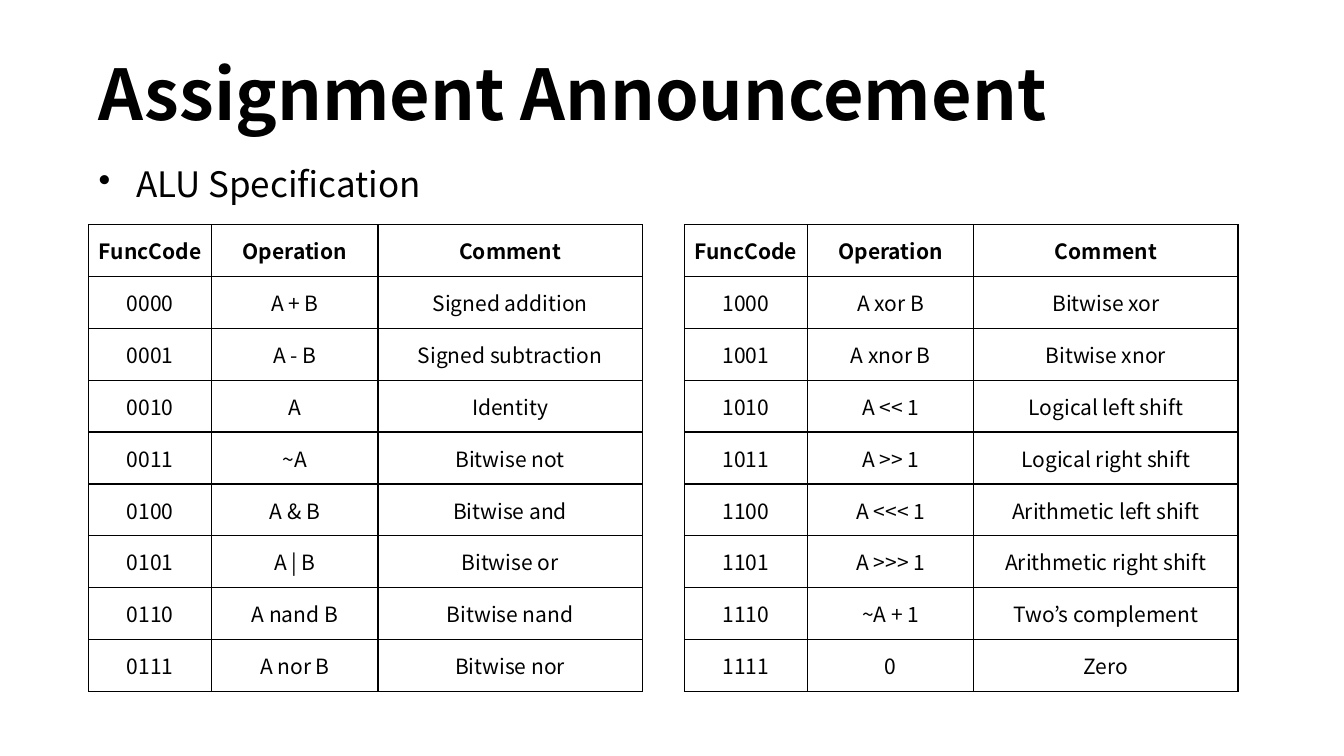
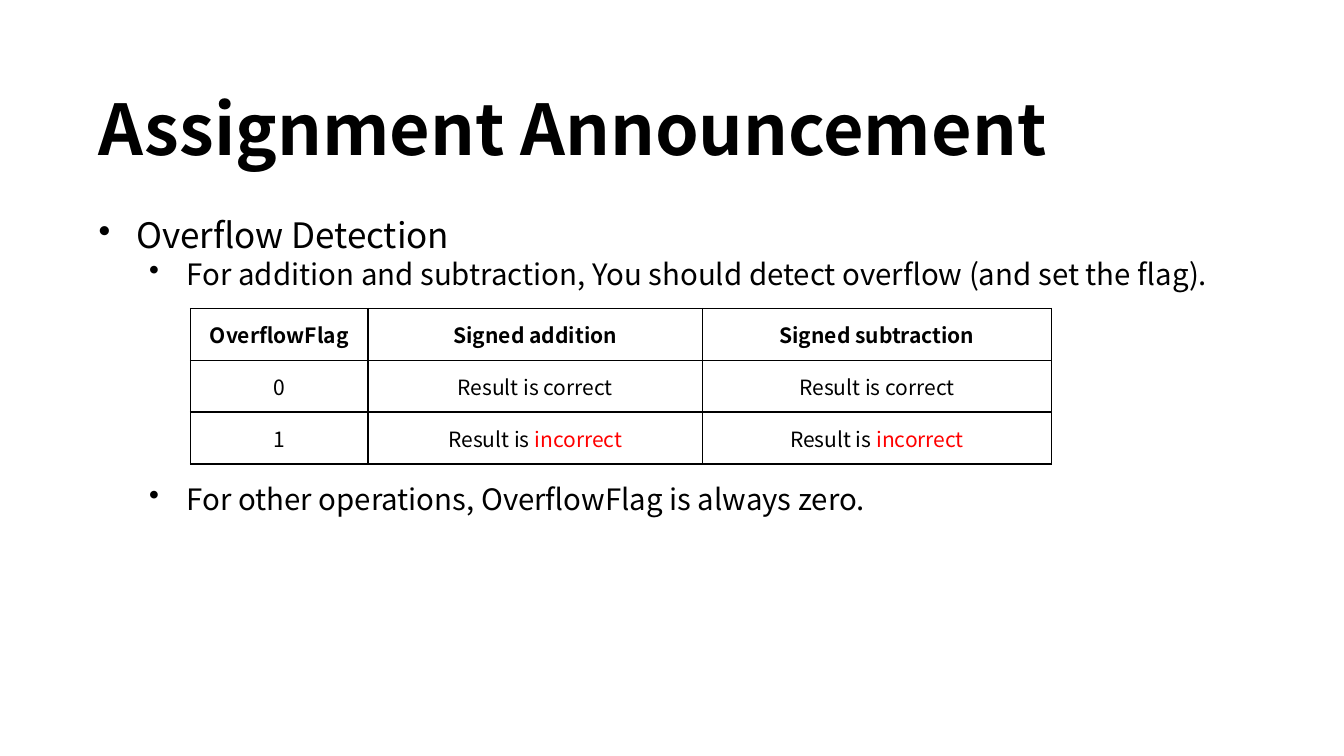
import dataclasses

import lxml.etree
import pptx
import pptx.dml.color
import pptx.enum.text
import pptx.oxml.ns
import pptx.util


@dataclasses.dataclass(frozen=True)
class Theme:
    font: str = "Noto Sans CJK KR"
    ink: str = "000000"
    paper: str = "FFFFFF"
    alert: str = "FF0000"
    title_size: int = 50
    topic_size: int = 25
    detail_size: int = 21
    cell_size: int = 15
    border: float = 1
    line_spacing: float = 0.9


THEME = Theme()
SLIDE_WIDTH = pptx.util.Inches(13.33)
SLIDE_HEIGHT = pptx.util.Inches(7.5)
MIDDLE = pptx.enum.text.MSO_ANCHOR.MIDDLE

# Lengths are percentages of the slide's width or height
MARGIN = 6.6
TEXT_WIDTH = 100 - MARGIN
TITLE_HEIGHT = 13.33
ROW_HEIGHT = 6.86
ALU_COLUMNS = (9.15, 12.38, 19.65)
ALU_LEFTS = (MARGIN, 50.93)
FLAG_COLUMNS = (13.2, 24.9, 25.95)
HANGING = 2.81
LEVEL_STEP = 3.75

TITLE = "Assignment Announcement"
ALU_HEADER = ("FuncCode", "Operation", "Comment")
ALU_FUNCTIONS = (
    ("A + B", "Signed addition"),
    ("A - B", "Signed subtraction"),
    ("A", "Identity"),
    ("~A", "Bitwise not"),
    ("A & B", "Bitwise and"),
    ("A | B", "Bitwise or"),
    ("A nand B", "Bitwise nand"),
    ("A nor B", "Bitwise nor"),
    ("A xor B", "Bitwise xor"),
    ("A xnor B", "Bitwise xnor"),
    ("A << 1", "Logical left shift"),
    ("A >> 1", "Logical right shift"),
    ("A <<< 1", "Arithmetic left shift"),
    ("A >>> 1", "Arithmetic right shift"),
    ("~A + 1", "Two’s complement"),
    ("0", "Zero"),
)
CORRECT = "Result is correct"
INCORRECT = ("Result is ", "incorrect")
FLAG_ROWS = (
    ("OverflowFlag", "Signed addition", "Signed subtraction"),
    ("0", CORRECT, CORRECT),
    ("1", INCORRECT, INCORRECT),
)


def across(percent):
    return round(SLIDE_WIDTH * percent / 100)


def down(percent):
    return round(SLIDE_HEIGHT * percent / 100)


def color(code):
    return pptx.dml.color.RGBColor.from_string(code)


def style(paragraph, size, bold=False):
    paragraph.font.name = THEME.font
    paragraph.font.size = pptx.util.Pt(size)
    paragraph.font.bold = bold
    paragraph.font.color.rgb = color(THEME.ink)


def add_text_frame(slide, top, height):
    area = slide.shapes.add_textbox(
        across(MARGIN), down(top), across(TEXT_WIDTH), down(height))
    area.text_frame.word_wrap = True
    area.text_frame.vertical_anchor = MIDDLE
    return area.text_frame


def add_title(slide, top):
    heading = add_text_frame(slide, top, TITLE_HEIGHT).paragraphs[0]
    heading.text = TITLE
    heading.line_spacing = THEME.line_spacing
    style(heading, THEME.title_size, bold=True)


def add_bullets(slide, top, height, bullets):
    """Each bullet is (level, space before in points, text)."""
    frame = add_text_frame(slide, top, height)
    for index, (level, gap, text) in enumerate(bullets):
        bullet = frame.add_paragraph() if index else frame.paragraphs[0]
        bullet.text = text
        bullet.level = level
        bullet.line_spacing = THEME.line_spacing
        bullet.space_before = pptx.util.Pt(gap)
        style(bullet, THEME.detail_size if level else THEME.topic_size)
        # Hanging indent and bullet mark
        properties = bullet._p.get_or_add_pPr()
        properties.set("marL", str(across(HANGING + level * LEVEL_STEP)))
        properties.set("indent", str(-across(HANGING)))
        mark = pptx.oxml.ns.qn("a:buChar")
        fonts = properties.find(pptx.oxml.ns.qn("a:defRPr"))
        bullet_mark = lxml.etree.Element(mark, char="•")
        if fonts is None:
            properties.append(bullet_mark)
        else:
            fonts.addprevious(bullet_mark)


def add_borders(cell):
    qn = pptx.oxml.ns.qn
    properties = cell._tc.get_or_add_tcPr()
    for side in ("a:lnL", "a:lnR", "a:lnT", "a:lnB"):
        line = lxml.etree.SubElement(
            properties, qn(side), w=str(pptx.util.Pt(THEME.border)))
        fill = lxml.etree.SubElement(line, qn("a:solidFill"))
        lxml.etree.SubElement(fill, qn("a:srgbClr"), val=THEME.ink)


def fill_cell(cell, content, bold):
    """Content is plain text, or a pair whose second part is an alert."""
    add_borders(cell)
    cell.fill.solid()
    cell.fill.fore_color.rgb = color(THEME.paper)
    cell.vertical_anchor = MIDDLE
    entry = cell.text_frame.paragraphs[0]
    entry.alignment = pptx.enum.text.PP_ALIGN.CENTER
    style(entry, THEME.cell_size, bold)
    if isinstance(content, str):
        entry.text = content
    else:
        plain, alert = content
        entry.add_run().text = plain
        warning = entry.add_run()
        warning.text = alert
        warning.font.color.rgb = color(THEME.alert)


def add_grid(slide, left, top, columns, rows):
    grid = slide.shapes.add_table(
        len(rows), len(columns), across(left), down(top),
        across(sum(columns)), down(ROW_HEIGHT * len(rows))).table
    grid.first_row = False
    grid.horz_banding = False
    for column, width in zip(grid.columns, columns):
        column.width = across(width)
    for r, row in enumerate(rows):
        grid.rows[r].height = down(ROW_HEIGHT)
        for c, content in enumerate(row):
            fill_cell(grid.cell(r, c), content, bold=r == 0)


def build_alu_specification(slide):
    add_title(slide, 6.27)
    add_bullets(slide, 20.13, 8.93, [(0, 0, "ALU Specification")])
    # Function codes count up in binary, half of them in each table
    functions = [(f"{code:04b}", *function)
                 for code, function in enumerate(ALU_FUNCTIONS)]
    half = len(functions) // 2
    for left, part in zip(ALU_LEFTS, (functions[:half], functions[half:])):
        add_grid(slide, left, 29.73, ALU_COLUMNS, [ALU_HEADER, *part])


def build_overflow_detection(slide):
    add_title(slide, 10.93)
    # The wide gap before the last bullet makes room for the table
    add_bullets(slide, 24.27, 48.67, [
        (0, 0, "Overflow Detection"),
        (1, 2.6, "For addition and subtraction, You should detect overflow "
                 "(and set the flag)."),
        (1, 138, "For other operations, OverflowFlag is always zero."),
    ])
    add_grid(slide, 14.18, 40.8, FLAG_COLUMNS, FLAG_ROWS)


def main():
    deck = pptx.Presentation()
    deck.slide_width = SLIDE_WIDTH
    deck.slide_height = SLIDE_HEIGHT
    blank = deck.slide_layouts[6]
    for build in (build_alu_specification, build_overflow_detection):
        slide = deck.slides.add_slide(blank)
        slide.background.fill.solid()
        slide.background.fill.fore_color.rgb = color(THEME.paper)
        build(slide)
    deck.save("out.pptx")


main()
